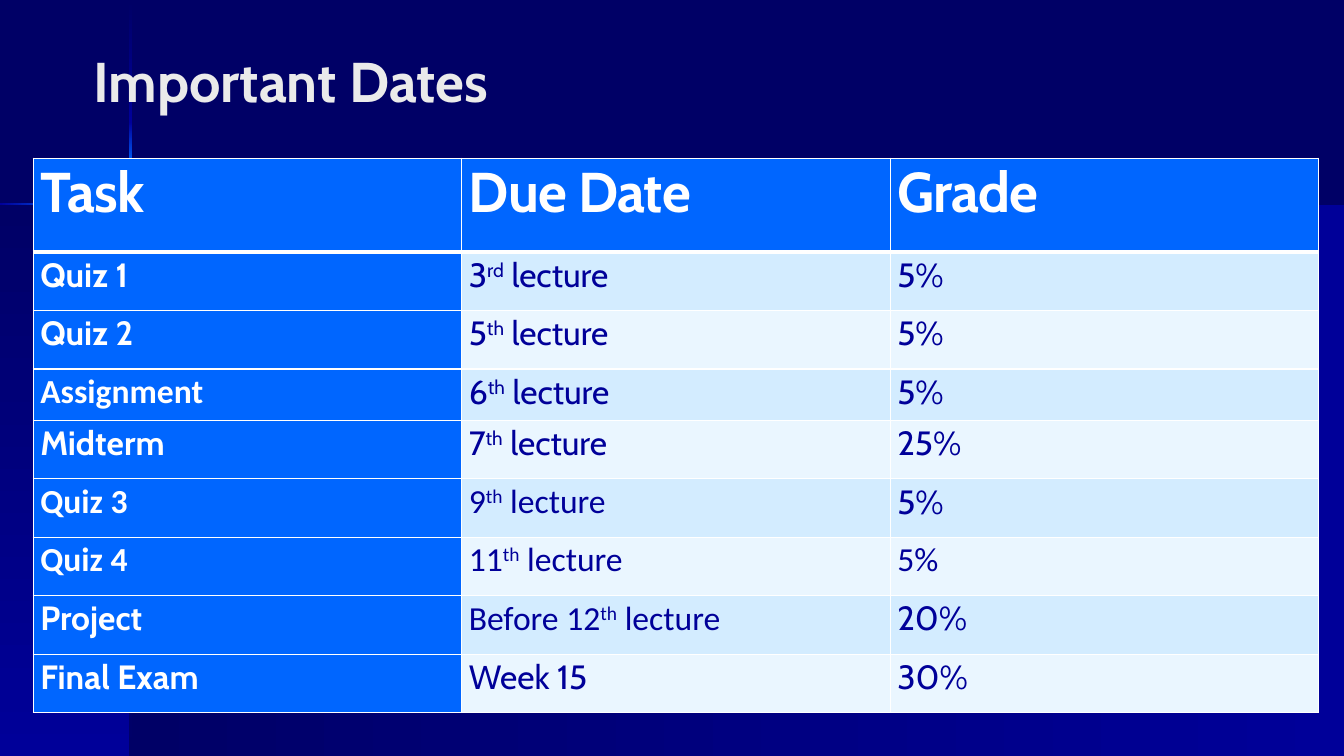
from lxml.etree import SubElement
from pptx import Presentation
from pptx.dml.color import RGBColor
from pptx.enum.shapes import MSO_SHAPE as Shape
from pptx.enum.text import MSO_ANCHOR as Anchor
from pptx.oxml.ns import qn
from pptx.util import Inches, Pt

NAVY, BLUE, BRIGHT, CREAM, WHITE = "000066", "000099", "0066FF", "FFFFCC", "FFFFFF"
BANDS = ["D3ECFF", "EAF6FF"]
CABIN, CALIBRI = "Cabin", "Calibri"
HEADINGS = ["Task", "Due Date", "Grade"]
TASKS = [
    (["Quiz 1", "3|rd| lecture", "5%"], [CABIN, CABIN, CABIN]),
    (["Quiz 2", "5|th| lecture", "5%"], [CABIN, CABIN, CABIN]),
    (["Assignment", "6|th| lecture", "5%"], [CALIBRI, CABIN, CABIN]),
    (["Midterm", "7|th| lecture", "25%"], [CABIN, CABIN, CABIN]),
    (["Quiz 3", "9|th| lecture", "5%"], [CALIBRI, CALIBRI, CABIN]),
    (["Quiz 4", "11|th| lecture", "5%"], [CALIBRI, CALIBRI, CALIBRI]),
    (["Project", "Before 12|th| lecture", "20%"], [CABIN, CALIBRI, CABIN]),
    (["Final Exam", "Week 15", "30%"], [CABIN, CABIN, CABIN]),
]


def color(hex_code):
    return RGBColor.from_string(hex_code)


def add_run(paragraph, text, font_name, size, hex_code, bold=False):
    run = paragraph.add_run()
    run.text = text
    run.font.name = font_name
    run.font.size = Pt(size)
    run.font.bold = bold
    run.font.color.rgb = color(hex_code)
    return run


def add_gradient(slide, left, top, width, height, stops, downward):
    shape = slide.shapes.add_shape(
        Shape.RECTANGLE, Inches(left), Inches(top), Inches(width), Inches(height))
    shape.shadow.inherit = False
    shape.line.fill.background()
    shape.fill.gradient()
    shape.fill.gradient_angle = 270 if downward else 0
    stop_list = shape._element.spPr.find(qn("a:gradFill")).find(qn("a:gsLst"))
    stop_list.clear()
    for index, hex_code in enumerate(stops):
        position = 100000 * index // (len(stops) - 1)
        stop = SubElement(stop_list, qn("a:gs"), pos=str(position))
        SubElement(stop, qn("a:srgbClr"), val=hex_code)


def add_backdrop(slide, left, top, width, height):
    cross_x, cross_y = left + 1.29, top + 2.02
    right, bottom = left + width, top + height
    add_gradient(slide, cross_x, cross_y, right - cross_x, bottom - cross_y, [NAVY, BLUE], False)
    add_gradient(slide, left, cross_y, cross_x - left, bottom - cross_y, [NAVY, BLUE], True)
    glow = [BRIGHT, CREAM, BRIGHT]
    vertical = [
        (top, 1.21, [NAVY, BLUE]),
        (top + 1.21, 0.44, [BLUE, BRIGHT]),
        (top + 1.65, 0.73, glow),
        (top + 2.38, 0.44, [BRIGHT, BLUE]),
        (top + 2.82, height - 2.82, [BLUE, NAVY]),
    ]
    for start, length, stops in vertical:
        add_gradient(slide, cross_x - 0.01, start, 0.03, length, stops, True)
    horizontal = [
        (left, 0.81, [BLUE, BRIGHT]),
        (left + 0.81, 0.97, glow),
        (left + 1.78, 0.58, [BRIGHT, BLUE]),
        (left + 2.36, width - 2.36, [BLUE, NAVY]),
    ]
    for start, length, stops in horizontal:
        add_gradient(slide, start, cross_y - 0.01, length, 0.02, stops, False)


def add_title(slide, left, top, width, height):
    box = slide.shapes.add_textbox(Inches(left), Inches(top), Inches(width), Inches(height))
    frame = box.text_frame
    frame.word_wrap = True
    frame.vertical_anchor = Anchor.MIDDLE
    add_run(frame.paragraphs[0], "Important Dates", CABIN, 40, "EAEAEA", True)


def style_cell(cell, hex_code, top_width, bottom_width):
    cell.margin_left = cell.margin_right = Inches(0.07)
    cell.margin_top = cell.margin_bottom = 0
    properties = cell._tc.get_or_add_tcPr()
    for side, width in zip("LRTB", [1, 1, top_width, bottom_width]):
        line = SubElement(properties, qn(f"a:ln{side}"), w=str(Pt(width)))
        SubElement(SubElement(line, qn("a:solidFill")), qn("a:srgbClr"), val=WHITE)
    cell.fill.solid()
    cell.fill.fore_color.rgb = color(hex_code)


def fill_heading(cell, heading):
    style_cell(cell, BRIGHT, 1, 3)
    run = add_run(cell.text_frame.paragraphs[0], heading, CABIN, 40, WHITE, True)
    run.font._element.set("spc", "-50")


def fill_task(cell, text, font_name, row, column):
    is_name = column == 0
    style_cell(cell, BRIGHT if is_name else BANDS[(row - 1) % 2], 3 if row == 1 else 1, 1)
    paragraph = cell.text_frame.paragraphs[0]
    paragraph.line_spacing = 1.07
    for index, part in enumerate(text.split("|")):
        run = add_run(paragraph, part, font_name, 24, WHITE if is_name else BLUE, is_name)
        if index == 1:
            run.font._element.set("baseline", "30000")


def add_schedule(slide, left, top, width, height):
    frame = slide.shapes.add_table(
        len(TASKS) + 1, len(HEADINGS), Inches(left), Inches(top), Inches(width), Inches(height))
    table = frame.table
    for row in table.rows:
        row.height = Inches(0.58)
    table.rows[0].height = Inches(0.93)
    table.rows[3].height = Inches(0.51)
    for column, heading in enumerate(HEADINGS):
        fill_heading(table.cell(0, column), heading)
    for row, (texts, fonts) in enumerate(TASKS, 1):
        for column, (text, font_name) in enumerate(zip(texts, fonts)):
            fill_task(table.cell(row, column), text, font_name, row, column)


def main():
    presentation = Presentation()
    presentation.slide_width = Inches(13.33)
    presentation.slide_height = Inches(7.5)
    slide = presentation.slides.add_slide(presentation.slide_layouts[6])
    slide.background.fill.solid()
    slide.background.fill.fore_color.rgb = color(NAVY)
    add_backdrop(slide, 0, 0, 13.33, 7.5)
    add_title(slide, 0.83, 0.01, 11, 1.57)
    add_schedule(slide, 0.33, 1.57, 12.75, 5.5)
    presentation.save("out.pptx")


if __name__ == "__main__":
    main()
